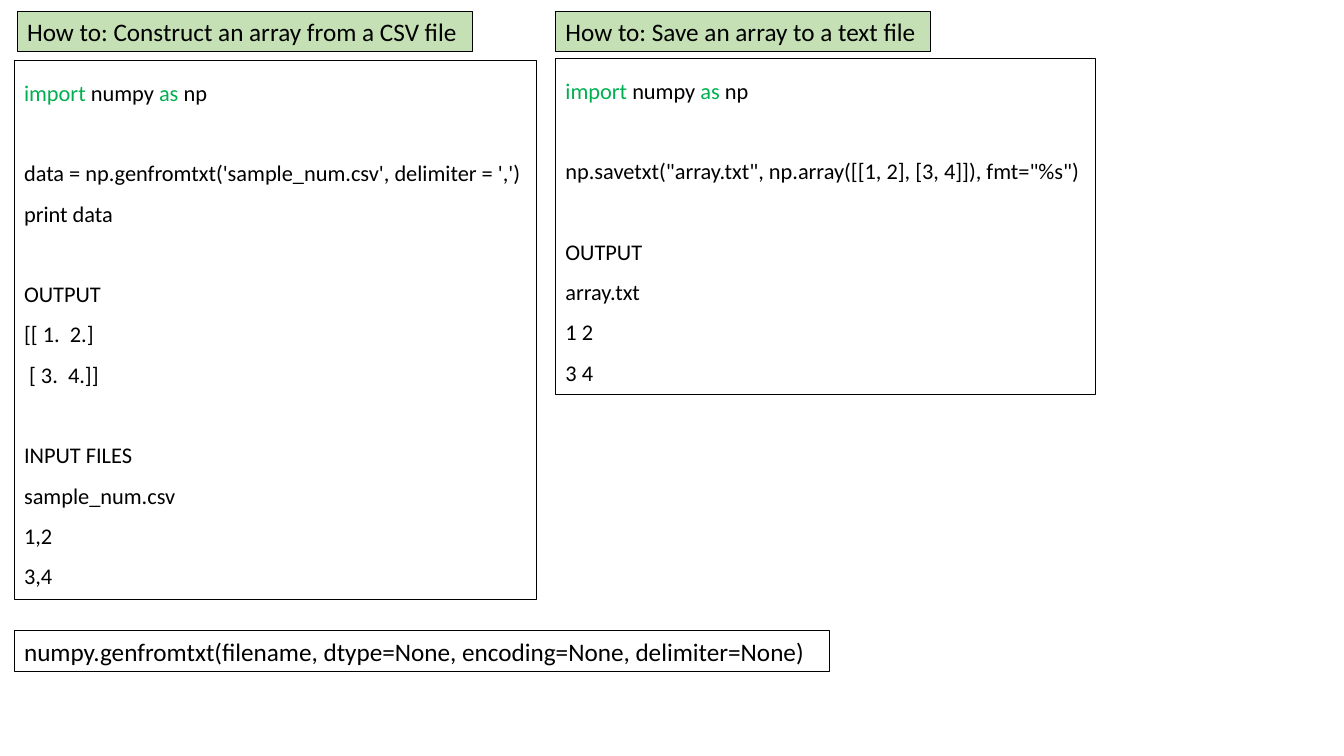
from pptx import Presentation
from pptx.dml.color import RGBColor
from pptx.enum.text import MSO_AUTO_SIZE as AutoSize
from pptx.util import Inches, Pt

BLACK = RGBColor(0x00, 0x00, 0x00)
KEYWORD_GREEN = RGBColor(0x00, 0xB0, 0x50)
HEADING_GREEN = RGBColor(0xC5, 0xE0, 0xB4)

# Content: each listing is a tuple of blocks, each block a tuple of lines
KEYWORDS = ("import ", "as")
IMPORT_LINE = ("import ", "numpy ", "as", " np")
LOAD_LISTING = (
    (IMPORT_LINE,),
    (("data = np.genfromtxt('sample_num.csv', delimiter = ',')",), ("print data",)),
    (("OUTPUT",), ("[[ 1.  2.]",), (" [ 3.  4.]]",)),
    (("INPUT FILES",), ("sample_num.csv",), ("1,2",), ("3,4",)),
)
SAVE_LISTING = (
    (IMPORT_LINE,),
    (('np.savetxt("array.txt", np.array([[1, 2], [3, 4]]), fmt="%s")',),),
    (("OUTPUT",), ("array.txt",), ("1 2",), ("3 4",)),
)
LOAD_HEADING = ((("How to: Construct an array from a CSV file",),),)
SAVE_HEADING = ((("How to: Save an array to a text file",),),)
SIGNATURE = ((("numpy.genfromtxt(filename, dtype=None, encoding=None, delimiter=None)",),),)

# Layout in inches
LEFT_COLUMN, RIGHT_COLUMN = 0.14, 5.51
HEADING_TOP, BAR_HEIGHT = 0.11, 0.4
LISTING_STYLE = {"size": 16, "spacing": 1.5}
BAR_STYLE = {"size": 18, "spacing": 1.0}
BLOCK_GAP = Pt(28.8)  # one listing line

BOXES = (
    (LOAD_LISTING, (LEFT_COLUMN, 0.6, 5.18, 5.35), LISTING_STYLE, None),
    (SAVE_LISTING, (RIGHT_COLUMN, 0.58, 5.36, 3.33), LISTING_STYLE, None),
    (SAVE_HEADING, (RIGHT_COLUMN, HEADING_TOP, 3.72, BAR_HEIGHT), BAR_STYLE, HEADING_GREEN),
    (LOAD_HEADING, (LEFT_COLUMN + 0.03, HEADING_TOP, 4.52, BAR_HEIGHT), BAR_STYLE, HEADING_GREEN),
    (SIGNATURE, (LEFT_COLUMN, 6.26, 8.09, BAR_HEIGHT), BAR_STYLE, None),
)


def add_line(para, pieces, size):
    for piece in pieces:
        span = para.add_run()
        span.text = piece
        for name, value in {"name": "Calibri", "size": Pt(size)}.items():
            setattr(span.font, name, value)
        span.font.color.rgb = KEYWORD_GREEN if piece in KEYWORDS else BLACK


def add_box(page, blocks, place, style, fill):
    box = page.shapes.add_textbox(*(Inches(length) for length in place))
    box.line.color.rgb = BLACK
    box.line.width = Pt(0.75)
    if fill is not None:
        box.fill.solid()
        box.fill.fore_color.rgb = fill
    frame = box.text_frame
    for name, value in {"word_wrap": False, "auto_size": AutoSize.SHAPE_TO_FIT_TEXT}.items():
        setattr(frame, name, value)

    # A gap of one line opens every block after the first
    para = frame.paragraphs[0]
    for block_index, block in enumerate(blocks):
        for line_index, pieces in enumerate(block):
            if block_index or line_index:
                para = frame.add_paragraph()
            para.line_spacing = style["spacing"]
            if block_index and not line_index:
                para.space_before = BLOCK_GAP
            add_line(para, pieces, style["size"])


def main():
    deck = Presentation()
    deck.slide_width, deck.slide_height = Inches(13.33), Inches(7.5)
    page = deck.slides.add_slide(deck.slide_layouts[6])
    for box in BOXES:
        add_box(page, *box)
    deck.save("out.pptx")


if __name__ == "__main__":
    main()
